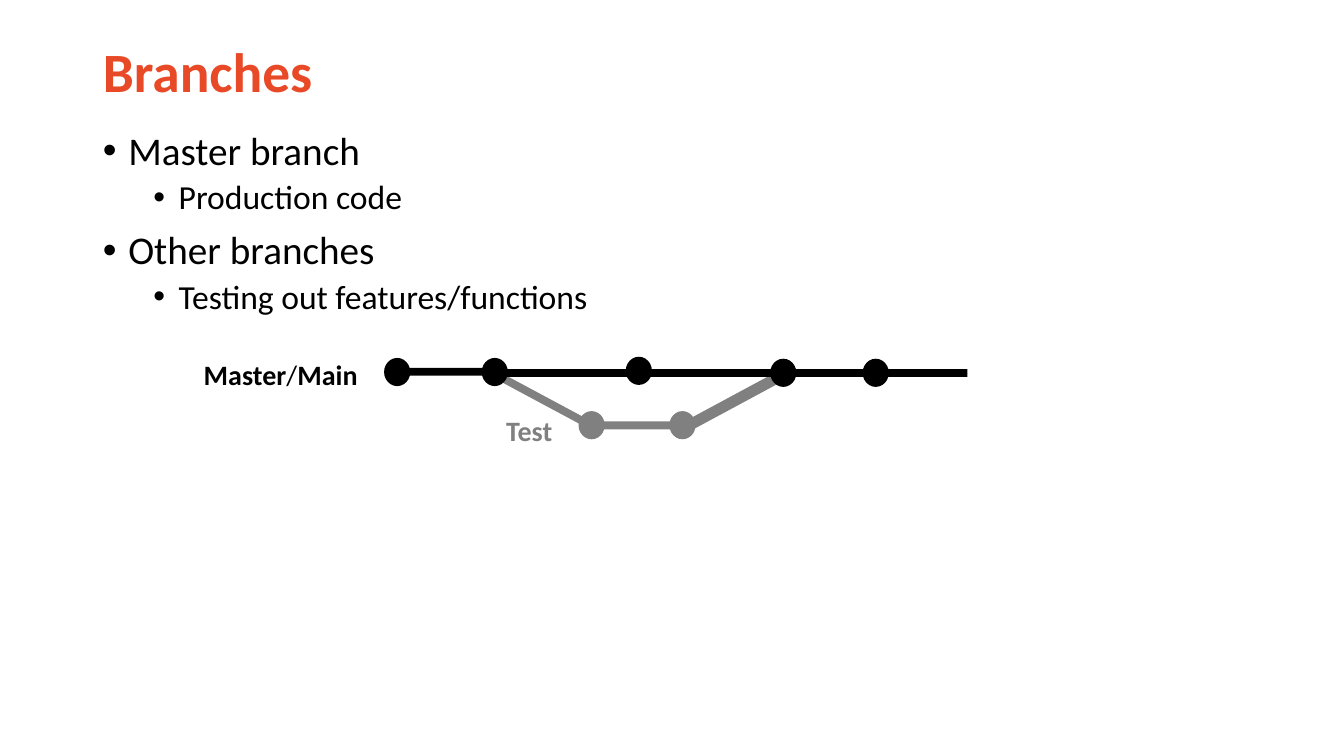
from dataclasses import dataclass

from lxml import etree
from pptx import Presentation
from pptx import util as u
from pptx.dml.color import RGBColor
from pptx.enum import shapes, text
from pptx.oxml import ns


@dataclass(frozen=True)
class Theme:
    font: str = "Calibri"
    accent: RGBColor = RGBColor(0xE8, 0x4A, 0x27)
    main: RGBColor = RGBColor(0, 0, 0)
    test: RGBColor = RGBColor(0x80, 0x80, 0x80)
    title_size: float = 39.6
    topic_size: float = 28
    detail_size: float = 24
    label_size: float = 20


class BranchSlide:
    def __init__(self, deck, theme):
        self.theme = theme
        self.slide = deck.slides.add_slide(deck.slide_layouts[1])

    def place(self, holder, left, top, width, height):
        holder.left, holder.top = u.Cm(left), u.Cm(top)
        holder.width, holder.height = u.Cm(width), u.Cm(height)
        frame = holder.text_frame
        frame.word_wrap = True
        frame.auto_size = text.MSO_AUTO_SIZE.NONE
        return frame

    def style(self, paragraph, size, color, bold=None):
        paragraph.alignment = text.PP_ALIGN.LEFT
        paragraph.line_spacing = 0.9
        font = paragraph.font
        font.name, font.size, font.bold = self.theme.font, u.Pt(size), bold
        font.color.rgb = color

    def title(self, wording, *box):
        frame = self.place(self.slide.shapes.title, *box)
        frame.vertical_anchor = text.MSO_ANCHOR.MIDDLE
        frame.text = wording
        self.style(frame.paragraphs[0], self.theme.title_size, self.theme.accent, True)

    def outline(self, items, *box):
        frame = self.place(self.slide.placeholders[1], *box)
        frame.vertical_anchor = text.MSO_ANCHOR.TOP
        for index, (level, runs, size, color, indent, before) in enumerate(items):
            paragraph = frame.add_paragraph() if index else frame.paragraphs[0]
            paragraph.level = level
            paragraph.space_before = u.Pt(before)
            bulleted = level < 2
            properties = paragraph._p.get_or_add_pPr()
            properties.set("marL", str(u.Cm(indent)))
            properties.set("indent", str(u.Cm(-0.64 if bulleted else 0)))
            bullet = etree.SubElement(properties, ns.qn("a:buChar" if bulleted else "a:buNone"))
            if bulleted:
                bullet.set("char", "•")
            for wording, bold in runs:
                run = paragraph.add_run()
                run.text, run.font.bold = wording, bold
            self.style(paragraph, size, color)

    def solid(self, kind, color, left, top, width, height, angle=0):
        shape = self.slide.shapes.add_shape(
            kind, u.Cm(left), u.Cm(top), u.Cm(width), u.Cm(height))
        shape.shadow.inherit = False
        shape.fill.solid()
        shape.fill.fore_color.rgb = color
        shape.line.fill.background()
        shape.rotation = angle

    def path_bar(self, color, left, top, width=2.31, height=0.2, angle=0):
        self.solid(shapes.MSO_SHAPE.RECTANGLE, color, left, top, width, height, angle)

    def commit(self, color, left, top):
        self.solid(shapes.MSO_SHAPE.OVAL, color, left, top, 0.66, 0.71)


def main():
    deck = Presentation()
    deck.slide_width, deck.slide_height = u.Cm(33.87), u.Cm(19.05)
    theme = Theme()
    page = BranchSlide(deck, theme)

    # Heading and outline, ending with the branch labels
    page.title("Branches", 2.34, 0.97, 29.21, 1.8)
    topic = (theme.topic_size, theme.main, 0.64)
    detail = (theme.detail_size, theme.main, 1.91)
    page.outline([
        (0, [("Master branch", False)], *topic, 0),
        (1, [("Production code", False)], *detail, 5),
        (0, [("Other branches", False)], *topic, 10),
        (1, [("Testing out features/functions", False)], *detail, 5),
        (2, [("Master", True), ("/", False), ("Main", True)],
         theme.label_size, theme.main, 2.54, 32),
        (2, [("Test", True)], theme.label_size, theme.test, 10.16, 18.5),
    ], 2.34, 3.18, 29.21, 12.73)

    # Test branch leaving and rejoining the main one
    page.path_bar(theme.test, 17.27, 9.98, 2.41, 0.28, 331.7)
    page.path_bar(theme.test, 12.5, 9.96, angle=28.2)
    page.path_bar(theme.test, 14.86, 10.62)
    for left in (14.58, 16.87):
        page.commit(theme.test, left, 10.36)

    # Main branch
    page.path_bar(theme.main, 10.13, 9.27)
    for left, width in ((12.45, 2.31), (14.4, 5.21), (19.76, 2.31), (22.07, 2.31)):
        page.path_bar(theme.main, left, 9.3, width)
    for left, top in ((9.68, 9.02), (12.14, 9.02), (15.77, 8.99), (19.41, 9.04), (21.74, 9.04)):
        page.commit(theme.main, left, top)

    deck.save("out.pptx")


if __name__ == "__main__":
    main()
